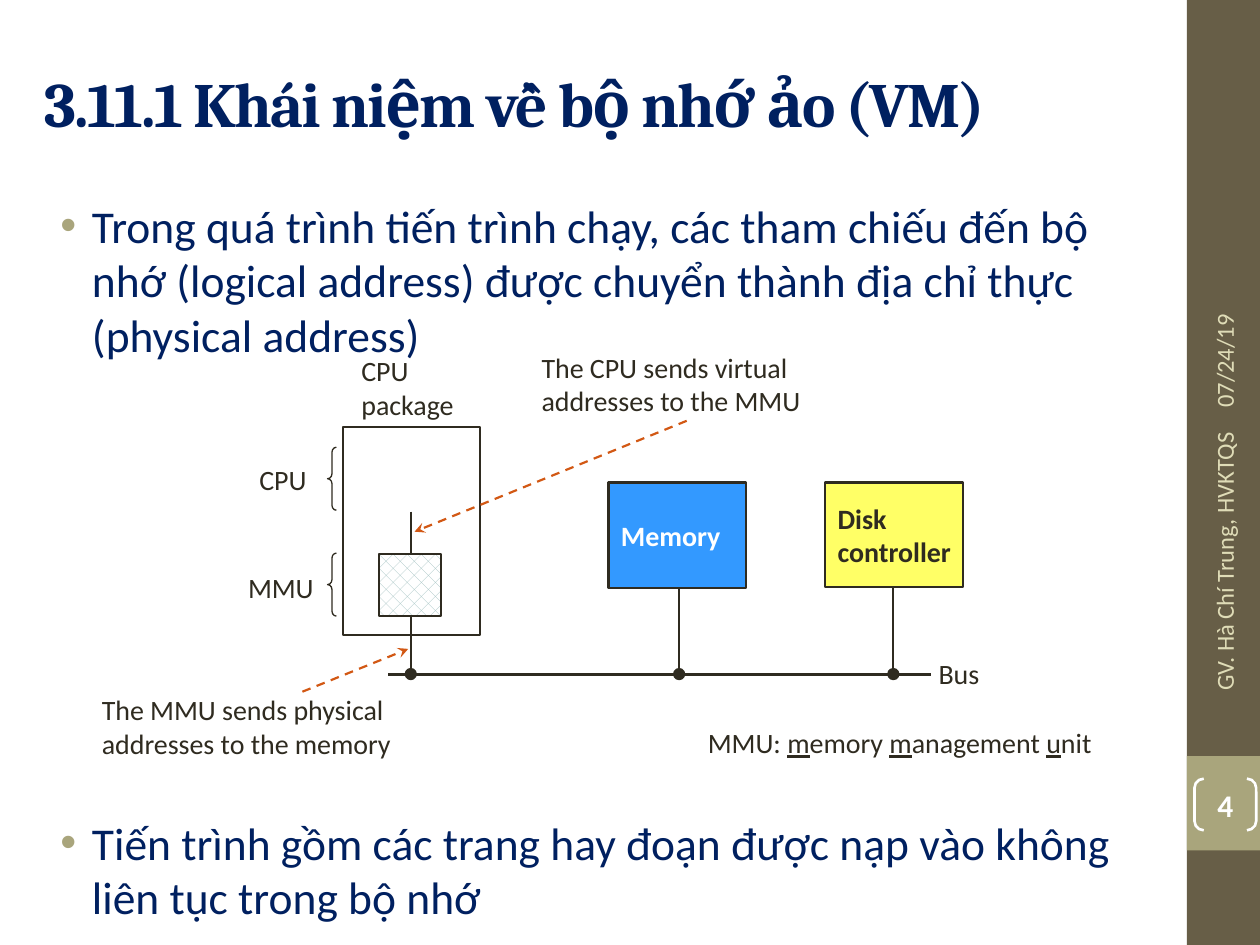
from lxml.etree import SubElement
from pptx import Presentation
from pptx.dml.color import RGBColor
from pptx.enum.dml import MSO_LINE, MSO_PATTERN
from pptx.enum.shapes import MSO_CONNECTOR, MSO_SHAPE
from pptx.enum.text import MSO_ANCHOR, MSO_AUTO_SIZE, PP_ALIGN
from pptx.oxml.ns import qn
from pptx.util import Inches, Pt

NAVY = RGBColor(0x00, 0x20, 0x60)
INK = RGBColor(0x2F, 0x2B, 0x20)
BROWN = RGBColor(0x67, 0x5E, 0x47)
OLIVE = RGBColor(0xA9, 0xA5, 0x7C)
SAND = RGBColor(0xDF, 0xDC, 0xB7)
WHITE = RGBColor(0xFF, 0xFF, 0xFF)
BLUE = RGBColor(0x33, 0x99, 0xFF)
YELLOW = RGBColor(0xFF, 0xFF, 0x66)
TEAL = RGBColor(0x9C, 0xBE, 0xBD)
ORANGE = RGBColor(0xD2, 0x58, 0x14)

# The slide is a grid of 100 columns by 75 rows of square cells
WIDTH, HEIGHT = Inches(10), Inches(7.5)
COLS, ROWS = 100, 75
BUS_ROW, DOT = 53.5, 0.8
CPU_COL, MEMORY_COL, DISK_COL = 32.6, 53.9, 70.9


def x(col):
    return round(WIDTH * col / COLS)


def y(row):
    return round(HEIGHT * row / ROWS)


def place(col, row, cols, rows):
    return x(col), y(row), x(cols), y(rows)


def add_run(p, text, size, color, bold=False, font="Calibri", underline=None):
    r = p.add_run()
    r.text = text
    r.font.name, r.font.size, r.font.bold = font, Pt(size), bold
    r.font.color.rgb = color
    r.font.underline = underline
    return r


def add_lines(p, lines, size, color, bold=False):
    for i, line in enumerate(lines):
        if i:
            p.add_line_break()
        add_run(p, line, size, color, bold)


def add_label(s, box, *lines, size=16, color=INK, wrap=False):
    sp = s.shapes.add_textbox(*place(*box))
    sp.text_frame.word_wrap = wrap
    add_lines(sp.text_frame.paragraphs[0], lines, size, color)
    return sp


def add_box(s, kind, box, fill=None, line=None, weight=1.25):
    sp = s.shapes.add_shape(kind, *place(*box))
    sp.shadow.inherit = False
    if fill is None:
        sp.fill.background()
    else:
        sp.fill.solid()
        sp.fill.fore_color.rgb = fill
    if line is None:
        sp.line.fill.background()
    else:
        sp.line.color.rgb = line
        sp.line.width = Pt(weight)
    return sp


def add_device(s, box, fill, color, *lines):
    sp = add_box(s, MSO_SHAPE.RECTANGLE, box, fill, INK)
    tf = sp.text_frame
    tf.word_wrap = False
    tf.vertical_anchor = MSO_ANCHOR.MIDDLE
    p = tf.paragraphs[0]
    p.alignment = PP_ALIGN.LEFT
    add_lines(p, lines, 16, color, bold=True)


def add_line(s, start, end, color=INK, weight=1.25):
    c = s.shapes.add_connector(MSO_CONNECTOR.STRAIGHT, x(start[0]), y(start[1]),
                               x(end[0]), y(end[1]))
    c.line.color.rgb = color
    c.line.width = Pt(weight)
    SubElement(c._element.spPr, qn("a:effectLst"))
    return c


def add_dashed_arrow(s, start, end):
    c = add_line(s, start, end, ORANGE)
    c.line.dash_style = MSO_LINE.DASH
    SubElement(c.line._get_or_add_ln(), qn("a:tailEnd"), type="stealth")


def add_bullet(p, text):
    pPr = p._p.get_or_add_pPr()
    pPr.set("marL", str(Inches(0.25)))
    pPr.set("indent", str(-Inches(0.25)))
    color = SubElement(pPr, qn("a:buClr"))
    SubElement(color, qn("a:srgbClr"), val=str(OLIVE))
    SubElement(pPr, qn("a:buFont"), typeface="Arial")
    SubElement(pPr, qn("a:buChar"), char="•")
    add_run(p, text, 26, NAVY)


def add_side_text(s, box, text, align):
    sp = add_label(s, box, text, size=14, color=SAND, wrap=True)
    sp.rotation = 270
    sp.text_frame.vertical_anchor = MSO_ANCHOR.MIDDLE
    sp.text_frame.paragraphs[0].alignment = align


def add_sidebar(s):
    add_box(s, MSO_SHAPE.RECTANGLE, (94.2, 0, 5.8, ROWS), BROWN)
    add_box(s, MSO_SHAPE.RECTANGLE, (94.2, 60, 5.8, 7.5), OLIVE)
    add_side_text(s, (83.8, 18, 26.7, 4), "07/24/19", PP_ALIGN.LEFT)
    add_side_text(s, (84.2, 44.3, 25.9, 4), "GV. Hà Chí Trung, HVKTQS", PP_ALIGN.RIGHT)
    # Slide number
    sp = add_box(s, MSO_SHAPE.DOUBLE_BRACKET, (94.8, 61.8, 4.9, 4.1), None, WHITE, 1.5)
    sp.adjustments[0] = 0.18
    tf = sp.text_frame
    tf.margin_left = tf.margin_right = tf.margin_top = tf.margin_bottom = 0
    tf.vertical_anchor = MSO_ANCHOR.MIDDLE
    tf.paragraphs[0].alignment = PP_ALIGN.CENTER
    add_run(tf.paragraphs[0], "4", 18, WHITE, bold=True)


def add_title(s, text):
    sp = s.shapes.title
    sp.left, sp.top, sp.width, sp.height = place(2.5, 3, 89.2, 10.3)
    tf = sp.text_frame
    tf.auto_size = MSO_AUTO_SIZE.NONE
    tf.vertical_anchor = MSO_ANCHOR.MIDDLE
    p = tf.paragraphs[0]
    p.alignment = PP_ALIGN.LEFT
    r = add_run(p, text, 36, NAVY, bold=True, font="Cambria")
    r.font._element.set("spc", "-100")


def add_body(s, first, second):
    sp = s.shapes.add_textbox(*place(2.5, 15.2, 89.2, 58.3))
    tf = sp.text_frame
    tf.word_wrap = True
    tf.margin_left = Inches(0.23)
    add_bullet(tf.paragraphs[0], first)
    # The gap leaves room for the diagram
    p = tf.add_paragraph()
    p.space_before = Pt(259)
    add_bullet(p, second)


def add_diagram(s):
    # CPU package with its two parts
    add_box(s, MSO_SHAPE.RECTANGLE, (27.2, 33.9, 10.9, 16.5), WHITE, INK, 1)
    mmu = add_box(s, MSO_SHAPE.RECTANGLE, (30.1, 44, 4.9, 4.9), WHITE, INK)
    mmu.fill.patterned()
    mmu.fill.pattern = MSO_PATTERN.PERCENT_25
    mmu.fill.fore_color.rgb, mmu.fill.back_color.rgb = TEAL, WHITE
    for row in (35.5, 43.9):
        brace = add_box(s, MSO_SHAPE.LEFT_BRACE, (26, row, 0.7, 5), None, INK, 0.75)
        brace.adjustments[0] = 0.56

    # Memory and disk controller
    add_device(s, (48.3, 38.3, 10.9, 8.4), BLUE, WHITE, "Memory")
    add_device(s, (65.5, 38.3, 10.9, 8.3), YELLOW, INK, "Disk", "controller")

    # Bus with a stem and a dot for each device
    add_line(s, (CPU_COL, 40.6), (CPU_COL, 43.9))
    add_line(s, (30.8, BUS_ROW), (73.9, BUS_ROW), weight=1.75)
    for col, row in ((CPU_COL, 49), (MEMORY_COL, 46.7), (DISK_COL, 46.7)):
        add_line(s, (col, row), (col, BUS_ROW))
        add_box(s, MSO_SHAPE.FLOWCHART_CONNECTOR,
                (col - DOT / 2, BUS_ROW - DOT / 2, DOT, DOT), INK, INK)

    # Labels
    add_label(s, (27.7, 27.6, 10.4, 6.4), "CPU", "package")
    add_label(s, (19.6, 36.2, 6.7, 3.7), "CPU")
    add_label(s, (18.7, 44.8, 7.2, 3.7), "MMU")
    add_label(s, (73.5, 51.6, 5.8, 3.7), "Bus")
    add_label(s, (42, 27.3, 24.4, 6.4), "The CPU sends virtual", "addresses to the MMU")
    add_label(s, (7.1, 54.5, 27.1, 6.4), "The MMU sends physical", "addresses to the memory")

    # Abbreviation with its initials underlined
    p = add_label(s, (55.2, 57.1, 34.4, 3.7), wrap=True).text_frame.paragraphs[0]
    for text, initial in (("MMU: ", False), ("m", True), ("emory ", False),
                          ("m", True), ("anagement ", False), ("u", True), ("nit", False)):
        add_run(p, text, 16, INK, underline=initial)

    # Address flow
    add_dashed_arrow(s, (54.5, 33.4), (32.9, 42.2))
    add_dashed_arrow(s, (24, 54.9), (32.4, 51.5))


def main():
    prs = Presentation()
    prs.slide_width, prs.slide_height = WIDTH, HEIGHT
    s = prs.slides.add_slide(prs.slide_layouts[5])
    add_sidebar(s)
    add_title(s, "3.11.1 Khái niệm về bộ nhớ ảo (VM)")
    add_body(s, "Trong quá trình tiến trình chạy, các tham chiếu đến bộ nhớ (logical "
                "address) được chuyển thành địa chỉ thực (physical address)",
             "Tiến trình gồm các trang hay đoạn được nạp vào không liên tục trong bộ nhớ")
    add_diagram(s)
    prs.save("out.pptx")


if __name__ == "__main__":
    main()
